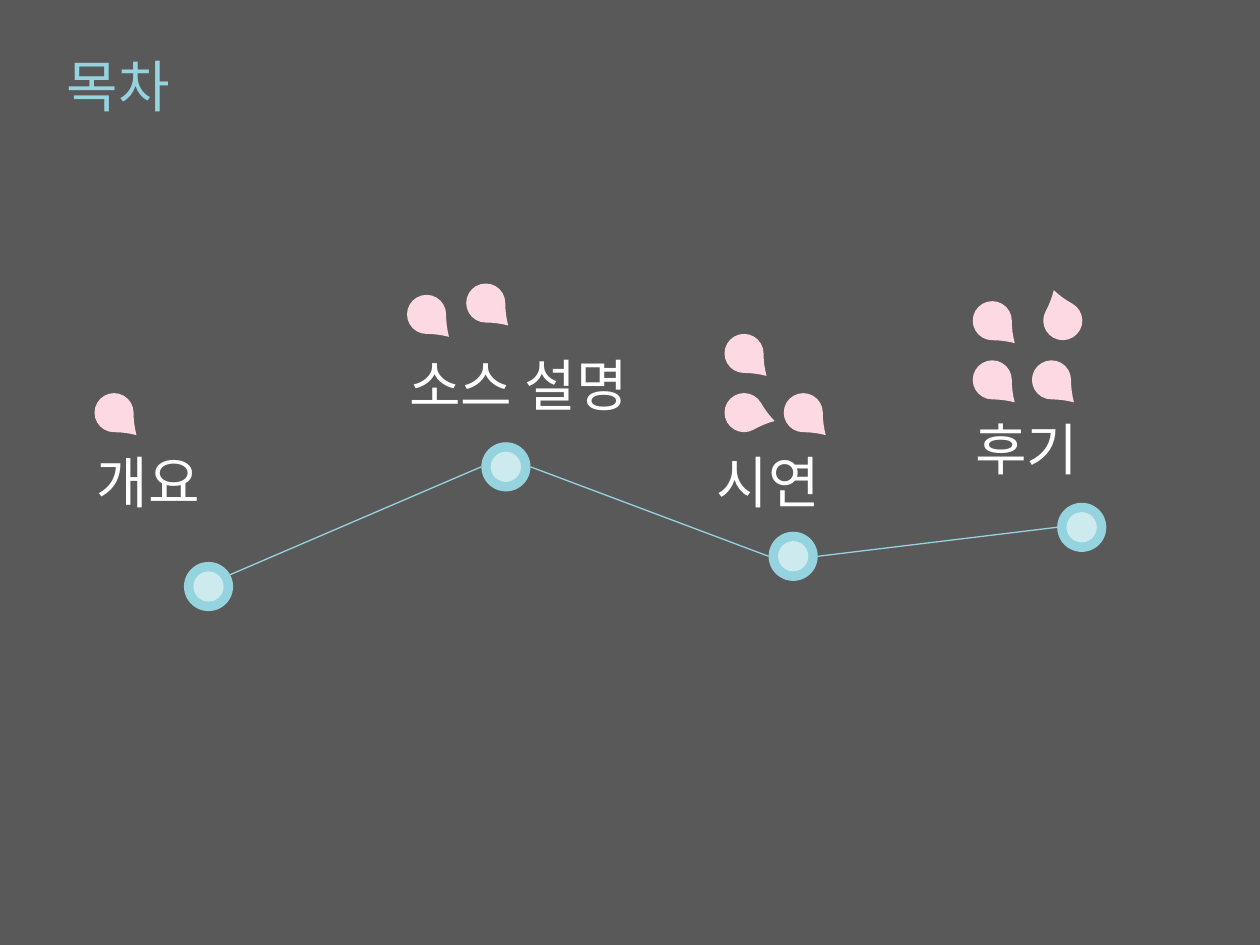
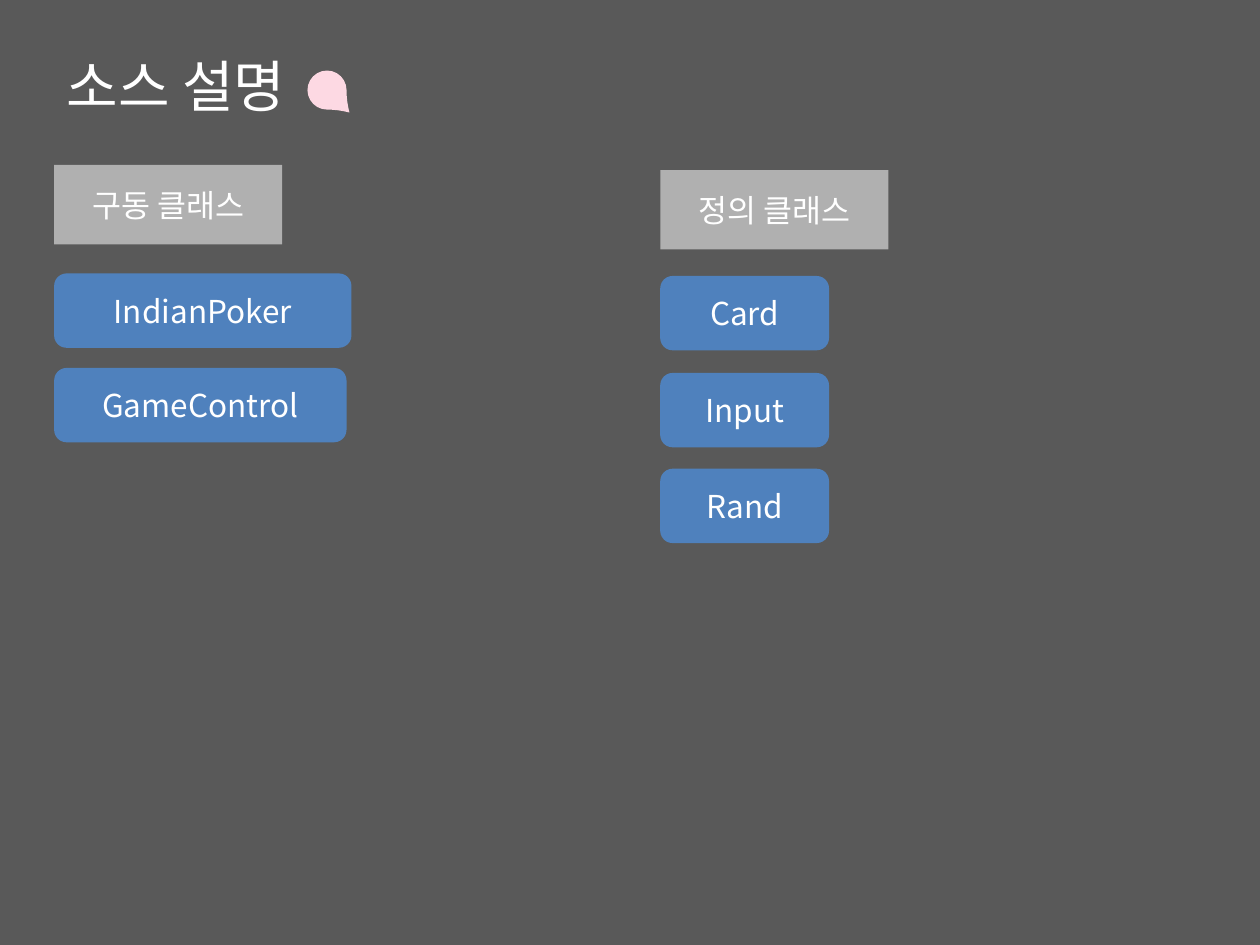
from lxml.etree import SubElement
from pptx import Presentation
from pptx.dml.color import RGBColor
from pptx.enum.shapes import MSO_CONNECTOR as Link, MSO_SHAPE as Kind
from pptx.enum.text import MSO_ANCHOR as Anchor, PP_ALIGN as Align
from pptx.oxml.ns import qn
from pptx.util import Inches, Pt

COLS, ROWS = 100, 75
CELL = Inches(10) // COLS
FONT = "Noto Sans CJK KR"
WHITE, GREY, AQUA, PINK, BLUE = "FFFFFF", "595959", "95D3DF", "FDD9E3", "4F81BD"
VEIL = 53
DROP, NODE, CORE = 3.1, 3.9, 2.4
LABEL = (23.6, 6.4)
TITLE = (4.3, 3.6, *LABEL)

# label, label place, node place, petals as (column, row, turn)
TOPICS = [
    ("개요", (6.7, 35), (14.6, 44.6), [(7.5, 31.2, 90)]),
    ("소스 설명", (31.5, 27.3), (38.2, 35.1), [(32.3, 23.4, 90), (37, 22.5, 90)]),
    ("시연", (55.9, 35), (61, 42.2),
     [(57.5, 31.2, 60.3), (62.2, 31.2, 90), (57.5, 26.5, 90)]),
    ("후기", (76.4, 32.4), (83.9, 39.9),
     [(77.2, 28.6, 90), (81.9, 28.6, 90), (77.2, 23.9, 90), (82.8, 23.9, 298.5)]),
]

# heading, column, heading row, classes as (name, row, width)
GROUPS = [
    ("구동 클래스", 4.3, 13.1, [("IndianPoker", 21.7, 23.6), ("GameControl", 29.2, 23.2)]),
    ("정의 클래스", 52.4, 13.5, [("Card", 21.9, 13.4), ("Input", 29.6, 13.4), ("Rand", 37.2, 13.4)]),
]


def rgb(code):
    """Turn a hex string into a colour."""
    return RGBColor.from_string(code)


def cells(*sizes):
    """Turn grid counts into lengths."""
    return [round(size * CELL) for size in sizes]


def write(shape, text, size, color, align=Align.LEFT, anchor=Anchor.TOP):
    """Put one styled run into a shape."""
    frame = shape.text_frame
    frame.word_wrap = True
    frame.vertical_anchor = anchor
    par = frame.paragraphs[0]
    par.alignment = align
    run = par.add_run()
    run.text = text
    run.font.size = Pt(size)
    run.font.name = FONT
    run.font.color.rgb = rgb(color)
    SubElement(run.font._element, qn("a:ea"), typeface=FONT)


def draw(shapes, kind, box, color, alpha=None):
    """Add a flat filled shape without outline."""
    shape = shapes.add_shape(kind, *cells(*box))
    shape.shadow.inherit = False
    shape.line.fill.background()
    shape.fill.solid()
    shape.fill.fore_color.rgb = rgb(color)
    if alpha:
        tint = shape.element.spPr.find(qn("a:solidFill"))[0]
        SubElement(tint, qn("a:alpha"), val=str(alpha * 1000))
    return shape


def start(deck, text, color):
    """Add a slide with its dark panel and title."""
    slide = deck.slides.add_slide(deck.slide_layouts[5])
    panel = draw(slide.shapes, Kind.RECTANGLE, (0, 0, COLS, ROWS), GREY)
    slide.shapes.element.insert(2, panel.element)
    title = slide.shapes.title
    title.left, title.top, title.width, title.height = cells(*TITLE)
    write(title, text, 32, color)
    return slide.shapes


def petal(shapes, col, row, turn=90):
    """Add a pink drop."""
    drop = draw(shapes, Kind.TEAR, (col, row, DROP, DROP), PINK)
    drop.adjustments[0] = 1.15
    drop.rotation = turn


def label(shapes, text, spot):
    """Add a topic name."""
    write(shapes.add_textbox(*cells(*spot, *LABEL)), text, 32, WHITE)


def node(shapes, col, row):
    """Add a ring with a pale core as one group."""
    ring = shapes.add_group_shape().shapes
    gap = (NODE - CORE) / 2
    draw(ring, Kind.OVAL, (col, row, NODE, NODE), AQUA)
    draw(ring, Kind.OVAL, (col + gap, row + gap, CORE, CORE), WHITE, VEIL)


def join(shapes, head, tail):
    """Add a thin line between two grid points."""
    line = shapes.add_connector(Link.STRAIGHT, *cells(*head, *tail))
    line.line.color.rgb = rgb(AQUA)
    line.line.width = Pt(0.75)
    SubElement(line.element.spPr, qn("a:effectLst"))


def block(shapes, kind, box, text, color, alpha=None):
    """Add a filled box with centred text."""
    shape = draw(shapes, kind, box, color, alpha)
    write(shape, text, 18, WHITE, Align.CENTER, Anchor.MIDDLE)


def agenda(deck):
    """Build the table of contents."""
    shapes = start(deck, "목차", AQUA)
    for text, spot, _, drops in TOPICS:
        label(shapes, text, spot)
        for drop in drops:
            petal(shapes, *drop)
    nodes = [topic[2] for topic in TOPICS]
    mid = NODE / 2
    exits = [(16.9, 46.2)] + [(col + NODE, row + mid) for col, row in nodes[1:]]
    for head, (col, row) in zip(exits, nodes[1:]):
        join(shapes, head, (col, row + mid))
    for spot in nodes:
        node(shapes, *spot)


def source(deck):
    """Build the overview of classes."""
    shapes = start(deck, "소스 설명", WHITE)
    petal(shapes, 24.4, 5.6)
    for head, col, top, names in GROUPS:
        block(shapes, Kind.RECTANGLE, (col, top, 18.1, 6.3), head, WHITE, VEIL)
        for name, row, width in names:
            block(shapes, Kind.ROUNDED_RECTANGLE, (col, row, width, 5.9), name, BLUE)


def main():
    """Build and save the deck."""
    deck = Presentation()
    deck.slide_width, deck.slide_height = cells(COLS, ROWS)
    agenda(deck)
    source(deck)
    deck.save("out.pptx")


if __name__ == "__main__":
    main()
